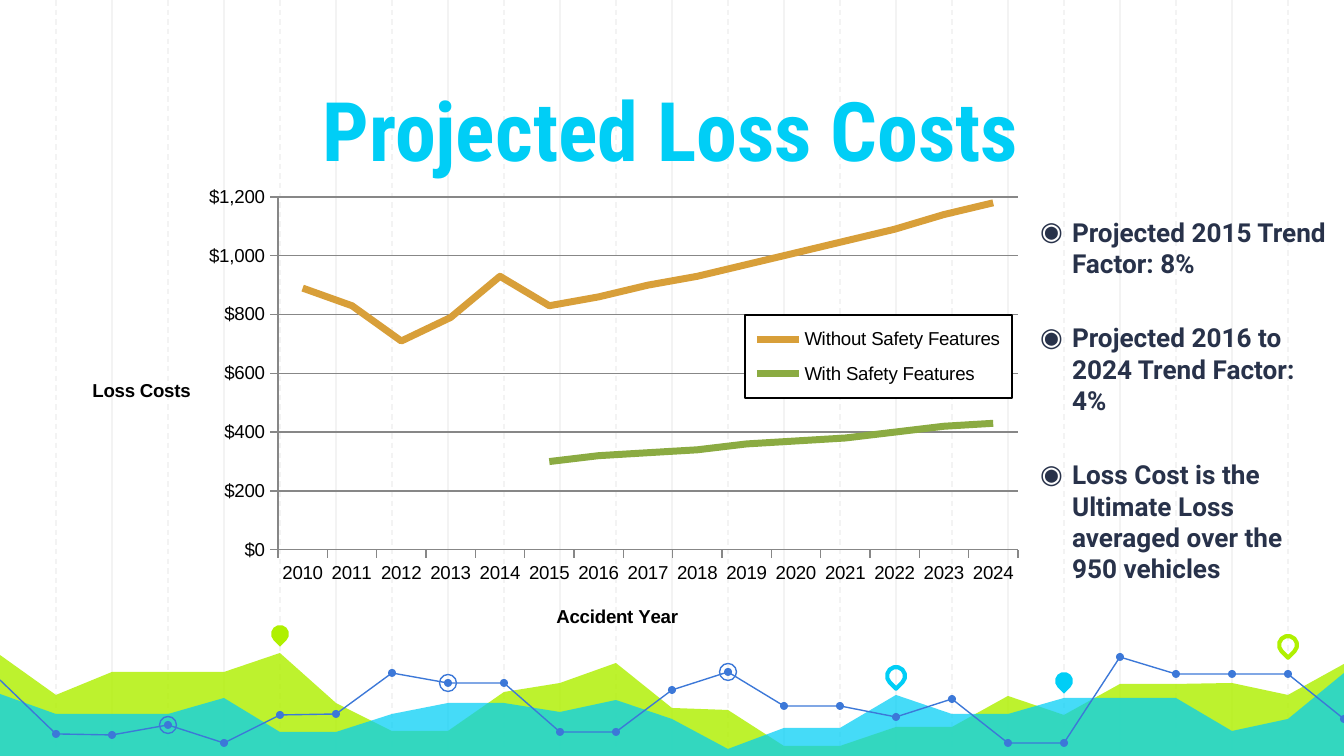
from lxml.etree import SubElement
from pptx import Presentation
from pptx.chart.data import CategoryChartData
from pptx.dml.color import RGBColor
from pptx.enum.chart import XL_CHART_TYPE, XL_LEGEND_POSITION, XL_TICK_MARK
from pptx.enum.dml import MSO_LINE
from pptx.enum.shapes import MSO_CONNECTOR, MSO_SHAPE
from pptx.enum.text import MSO_ANCHOR, PP_ALIGN
from pptx.oxml import parse_xml
from pptx.oxml.ns import nsdecls, qn
from pptx.util import Pt

PX = 914400 / 134.4
WIDTH, HEIGHT, STEP = 1344, 756, 56
COLORS = {"grid": "F3F3F3", "lime": "AFF000", "cyan": "00CEF6", "blue": "3C78D8",
          "navy": "28324A", "orange": "D89F39", "green": "8BAB42",
          "axis": "878787", "black": "000000"}


def write(para, text, font="Arial", size=10, color="black", bold=False, align=None):
    para.alignment = align
    span = para.add_run()
    span.text = text
    span.font.name, span.font.size, span.font.bold = font, Pt(size), bold
    span.font.color.rgb = RGBColor.from_string(COLORS[color])


def paint(shape, fill=None, line=None, weight=0.75, alpha=100):
    shape.shadow.inherit = False
    if fill:
        shape.fill.solid()
        shape.fill.fore_color.rgb = RGBColor.from_string(COLORS[fill])
        tint = shape.fill._xPr.find(".//" + qn("a:srgbClr"))
        SubElement(tint, qn("a:alpha"), val=str(alpha * 1000))
    else:
        shape.fill.background()
    if line:
        shape.line.color.rgb = RGBColor.from_string(COLORS[line])
        shape.line.width = Pt(weight)
    else:
        shape.line.fill.background()


deck = Presentation()
deck.slide_width, deck.slide_height = round(WIDTH * PX), round(HEIGHT * PX)
page = deck.slides.add_slide(deck.slide_layouts[6])
shapes = page.shapes

# Vertical grid, every other line dashed
for column in range(1, 24):
    x = round(column * STEP * PX)
    rule = shapes.add_connector(MSO_CONNECTOR.STRAIGHT, x, 0, x, round(HEIGHT * PX))
    rule.line.color.rgb = RGBColor.from_string(COLORS["grid"])
    rule.line.width = Pt(0.75)
    if column % 2:
        rule.line.dash_style = MSO_LINE.DASH
    SubElement(rule._element.spPr, qn("a:effectLst"))

# Decorative areas: one height per grid column
areas = [
    ("lime", 82, [655, 695, 672, 672, 672, 653, 703, 731, 731, 692, 683, 663, 708,
                  710, 746, 746, 727, 727, 696, 715, 684, 684, 683, 695, 664]),
    ("cyan", 73, [694, 714, 714, 714, 698, 732, 732, 714, 703, 703, 712, 700, 719,
                  749, 728, 728, 695, 714, 714, 698, 698, 698, 731, 719, 673]),
]
for color, alpha, heights in areas:
    outline = shapes.build_freeform(0, HEIGHT, scale=PX)
    points = [(i * STEP, y) for i, y in enumerate(heights)]
    outline.add_line_segments(points + [(WIDTH, HEIGHT)], close=True)
    paint(outline.convert_to_shape(), fill=color, alpha=alpha)

# Trend line with dots and rings
trend = [680, 734, 735, 725, 743, 715, 714, 673, 683, 683, 732, 732, 690,
         672, 706, 706, 717, 699, 743, 743, 657, 674, 674, 674, 719]
points = [(i * STEP, y) for i, y in enumerate(trend)]
outline = shapes.build_freeform(*points[0], scale=PX)
outline.add_line_segments(points[1:], close=False)
paint(outline.convert_to_shape(), line="blue")
dots = [(x, y, 8, "blue", None) for x, y in points[1:]]
rings = [(*points[i], 17, None, "blue") for i in (3, 8, 13)]
for x, y, size, fill, line in dots + rings:
    box = [round(v * PX) for v in (x - size / 2, y - size / 2, size, size)]
    paint(shapes.add_shape(MSO_SHAPE.OVAL, *box), fill, line)

# Map pins
for column, top, fill, line in [(5, 625, "lime", None), (16, 667, None, "cyan"),
                                (19, 672, "cyan", None), (23, 636, None, "lime")]:
    box = [round(v * PX) for v in (column * STEP - 9, top, 18, 18)]
    pin = shapes.add_shape(MSO_SHAPE.TEAR, *box)
    pin.rotation = 135
    paint(pin, fill, line, weight=2.25)

# Title and bullet list
bullets = ["Projected 2015 Trend Factor: 8%", "Projected 2016 to 2024 Trend Factor: 4%",
           "Loss Cost is the Ultimate Loss averaged over the 950 vehicles"]
texts = [
    ((110, 20, 1122, 171), MSO_ANCHOR.BOTTOM, ["Projected Loss Costs"],
     dict(font="Roboto Condensed", size=44, color="cyan", align=PP_ALIGN.CENTER)),
    ((1027, 203, 317, 394), MSO_ANCHOR.TOP, bullets,
     dict(font="Roboto", size=14, color="navy")),
]
for place, anchor, lines, style in texts:
    frame = shapes.add_textbox(*[round(v * PX) for v in place]).text_frame
    frame.word_wrap = True
    frame.vertical_anchor = anchor
    frame.margin_left = frame.margin_right = round(13 * PX)
    frame.margin_top = frame.margin_bottom = round(13 * PX)
    for i, line in enumerate(lines):
        para = frame.add_paragraph() if i else frame.paragraphs[0]
        write(para, line, bold=True, **style)
        if lines is bullets:
            para.space_after = Pt(23)
            props = para._p.get_or_add_pPr()
            props.set("marL", str(round(32 * PX)))
            props.set("indent", str(round(-32 * PX)))
            tint = SubElement(SubElement(props, qn("a:buClr")), qn("a:srgbClr"))
            tint.set("val", COLORS["navy"])
            SubElement(props, qn("a:buFont"), typeface="Roboto")
            SubElement(props, qn("a:buChar"), char="◉")

# Line chart
data = CategoryChartData(number_format='"$"#,##0')
data.categories = [str(year) for year in range(2010, 2025)]
data.add_series("Without Safety Features", [890, 830, 710, 790, 930, 830, 860, 900, 930,
                                            970, 1010, 1050, 1090, 1140, 1180])
data.add_series("With Safety Features", [None] * 5 + [300, 320, 330, 340, 360, 370,
                                                      380, 400, 420, 430])
left, top, width, height = 62, 177, 977, 473
box = [round(v * PX) for v in (left, top, width, height)]
chart = shapes.add_chart(XL_CHART_TYPE.LINE, *box, data).chart
chart.has_title = False
chart.font.name, chart.font.size = "Arial", Pt(10)
chart.font.color.rgb = RGBColor.from_string(COLORS["black"])
chart.plots[0].vary_by_categories = False
for series, color in zip(chart.plots[0].series, ("orange", "green")):
    series.smooth = False
    series.format.line.color.rgb = RGBColor.from_string(COLORS[color])
    series.format.line.width = Pt(3.75)

# Axes and legend
years, costs = chart.category_axis, chart.value_axis
costs.minimum_scale, costs.maximum_scale, costs.major_unit = 0, 1200, 200
costs.tick_labels.number_format = '"$"#,##0;[Red]"$"#,##0'
costs.tick_labels.number_format_is_linked = False
costs.has_major_gridlines = True
for axis, title in ((years, "Accident Year"), (costs, "Loss Costs")):
    axis.major_tick_mark = XL_TICK_MARK.OUTSIDE
    write(axis.axis_title.text_frame.paragraphs[0], title, bold=True)
for part in (years, costs, costs.major_gridlines):
    part.format.line.color.rgb = RGBColor.from_string(COLORS["axis"])
    part.format.line.width = Pt(0.75)
costs.axis_title.text_frame._txBody.bodyPr.set("rot", "0")
chart.has_legend = True
chart.legend.position = XL_LEGEND_POSITION.RIGHT
chart.legend.include_in_layout = True
chart.legend.font.size = Pt(10)
legend = chart.element.xpath(".//c:legend")[0]
legend.find(qn("c:txPr")).addprevious(parse_xml(
    f'<c:spPr {nsdecls("c", "a")}><a:solidFill><a:srgbClr val="FFFFFF"/></a:solidFill>'
    f'<a:ln w="9525"><a:solidFill><a:srgbClr val="{COLORS["black"]}"/></a:solidFill>'
    '</a:ln></c:spPr>'))

# Fixed places inside the chart
places = [("c:plotArea", 0, (278, 197, 740, 353)), ("c:legend", 1, (745, 315, 267, 83)),
          ("c:catAx/c:title", 1, (553, 601)), ("c:valAx/c:title", 1, (89, 375))]
for target, position, place in places:
    part = chart.element.xpath(".//" + target)[0]
    for old in part.findall(qn("c:layout")):
        part.remove(old)
    layout = parse_xml(f'<c:layout {nsdecls("c")}><c:manualLayout/></c:layout>')
    manual = layout[0]
    if target == "c:plotArea":
        SubElement(manual, qn("c:layoutTarget"), val="inner")
    for mode in ("xMode", "yMode"):
        SubElement(manual, qn("c:" + mode), val="edge")
    origins, spans = (left, top, 0, 0), (width, height, width, height)
    for key, value, origin, span in zip("xywh", place, origins, spans):
        SubElement(manual, qn("c:" + key), val=str(round((value - origin) / span, 4)))
    part.insert(position, layout)

deck.save("out.pptx")
